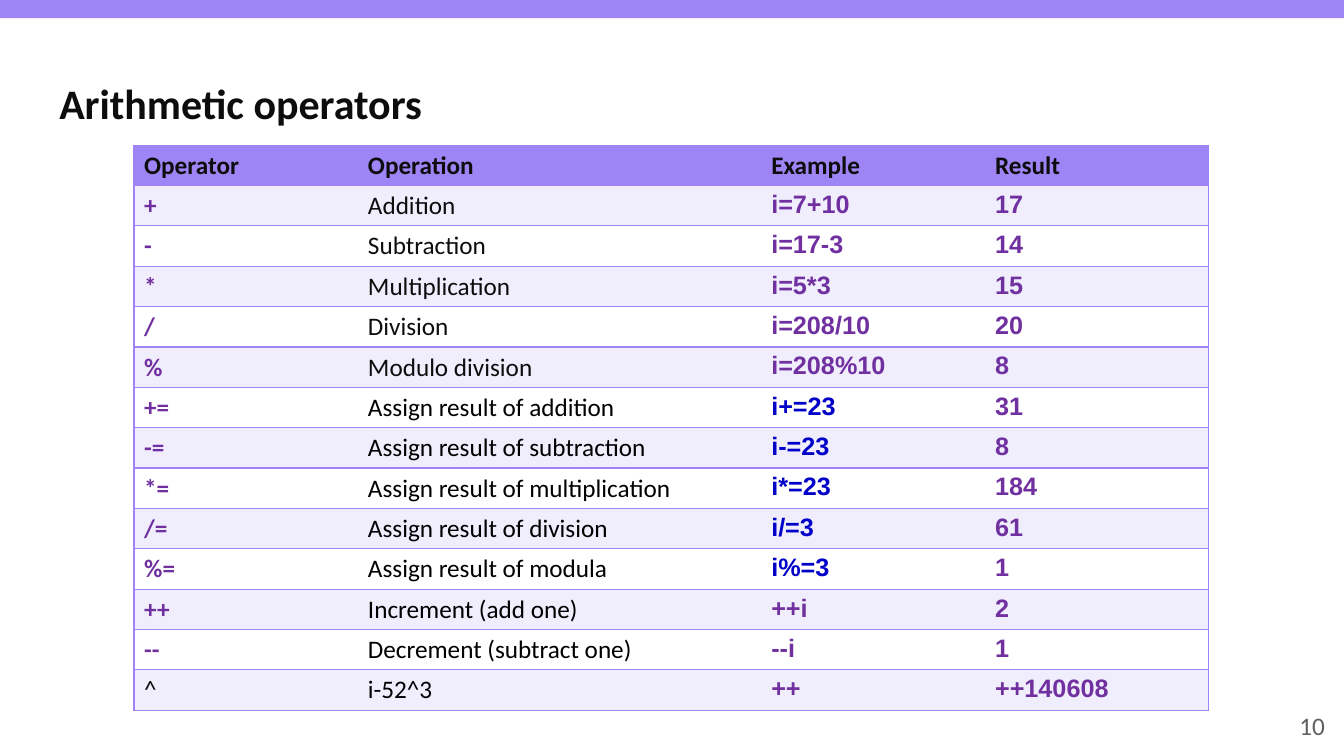
"""Build the slide that lists the arithmetic operators in a table."""
from lxml.etree import SubElement
from pptx import Presentation
from pptx.dml.color import RGBColor
from pptx.enum.shapes import MSO_SHAPE
from pptx.enum.text import MSO_ANCHOR, PP_ALIGN
from pptx.oxml.ns import qn
from pptx.util import Inches, Pt

VIOLET = RGBColor(0x9E, 0x84, 0xF5)
LAVENDER = RGBColor(0xF0, 0xED, 0xFD)
WHITE = RGBColor(0xFF, 0xFF, 0xFF)
INK = RGBColor(0x0D, 0x0D, 0x0D)
BLACK = RGBColor(0x00, 0x00, 0x00)
PURPLE = RGBColor(0x70, 0x30, 0xA0)
BLUE = RGBColor(0x00, 0x00, 0xC8)
GRAY = RGBColor(0x5F, 0x5F, 0x5F)

NO_STYLE = "{2D5ABB26-0587-4C30-8999-92F81FD0307C}"
HEADINGS = ("Operator", "Operation", "Example", "Result")
OPERATORS = [
    ("+", "Addition", "i=7+10", "17"),
    ("-", "Subtraction", "i=17-3", "14"),
    ("*", "Multiplication", "i=5*3", "15"),
    ("/", "Division", "i=208/10", "20"),
    ("%", "Modulo division", "i=208%10", "8"),
    ("+=", "Assign result of addition", "i+=23", "31"),
    ("-=", "Assign result of subtraction", "i-=23", "8"),
    ("*=", "Assign result of multiplication", "i*=23", "184"),
    ("/=", "Assign result of division", "i/=3", "61"),
    ("%=", "Assign result of modula", "i%=3", "1"),
    ("++", "Increment (add one)", "++i", "2"),
    ("--", "Decrement (subtract one)", "--i", "1"),
    ("^", "i-52^3", "++", "++140608"),
]
COLUMN_WIDTHS = (2.22, 4, 2.22, 2.22)
ROW_HEIGHT = 0.4


def write(frame, text, size, color, bold=False, name="Calibri"):
    frame.text = text
    font = frame.paragraphs[0].runs[0].font
    font.name, font.size, font.bold = name, Pt(size), bold
    font.color.rgb = color


def draw_borders(cell, sides):
    properties = cell._tc.get_or_add_tcPr()
    for side in sides:
        line = SubElement(properties, qn(f"a:ln{side}"), w=str(Pt(1)))
        fill = SubElement(line, qn("a:solidFill"))
        SubElement(fill, qn("a:srgbClr"), val=str(VIOLET))


deck = Presentation()
deck.slide_width, deck.slide_height = Inches(13.33), Inches(7.5)
page = deck.slides.add_slide(deck.slide_layouts[6])

top_band = page.shapes.add_shape(
    MSO_SHAPE.RECTANGLE, 0, 0, deck.slide_width, Inches(0.18))
top_band.shadow.inherit = False
top_band.fill.solid()
top_band.fill.fore_color.rgb = VIOLET
top_band.line.fill.background()

title = page.shapes.add_textbox(
    Inches(0.49), Inches(0.55), Inches(12.36), Inches(0.94)).text_frame
title.word_wrap = True
title.vertical_anchor = MSO_ANCHOR.MIDDLE
write(title, "Arithmetic operators", 30, INK, bold=True)

page_number = page.shapes.add_textbox(
    Inches(10.24), Inches(7), Inches(3), Inches(0.4)).text_frame
page_number.word_wrap = True
page_number.vertical_anchor = MSO_ANCHOR.MIDDLE
write(page_number, "10", 18, GRAY)
page_number.paragraphs[0].alignment = PP_ALIGN.RIGHT

rows = [HEADINGS] + OPERATORS
table = page.shapes.add_table(
    len(rows), len(HEADINGS), Inches(1.33), Inches(1.44),
    Inches(sum(COLUMN_WIDTHS)), Inches(ROW_HEIGHT * len(rows))).table
table._tbl.tblPr.find(qn("a:tableStyleId")).text = NO_STYLE
for column, width in zip(table.columns, COLUMN_WIDTHS):
    column.width = Inches(width)

for row_index, texts in enumerate(rows):
    table.rows[row_index].height = Inches(ROW_HEIGHT)
    is_heading = row_index == 0
    row_fill = VIOLET if is_heading else LAVENDER if row_index % 2 else WHITE
    for column_index, text in enumerate(texts):
        cell = table.cell(row_index, column_index)
        heading = HEADINGS[column_index]
        color, bold, name = PURPLE, True, "Calibri"
        if is_heading:
            color = INK
        elif heading == "Operation":
            color, bold = INK if row_index <= 5 else BLACK, False
        elif heading in ("Example", "Result"):
            name = "Arial"
            if heading == "Example" and 6 <= row_index <= 10:
                color = BLUE
        elif text == "^":
            color, bold = INK, False
        write(cell.text_frame, text, 18, color, bold, name)
        outer_side = {0: "L", len(texts) - 1: "R"}.get(column_index, "")
        draw_borders(cell, outer_side + "TB")
        cell.fill.solid()
        cell.fill.fore_color.rgb = row_fill

deck.save("out.pptx")
